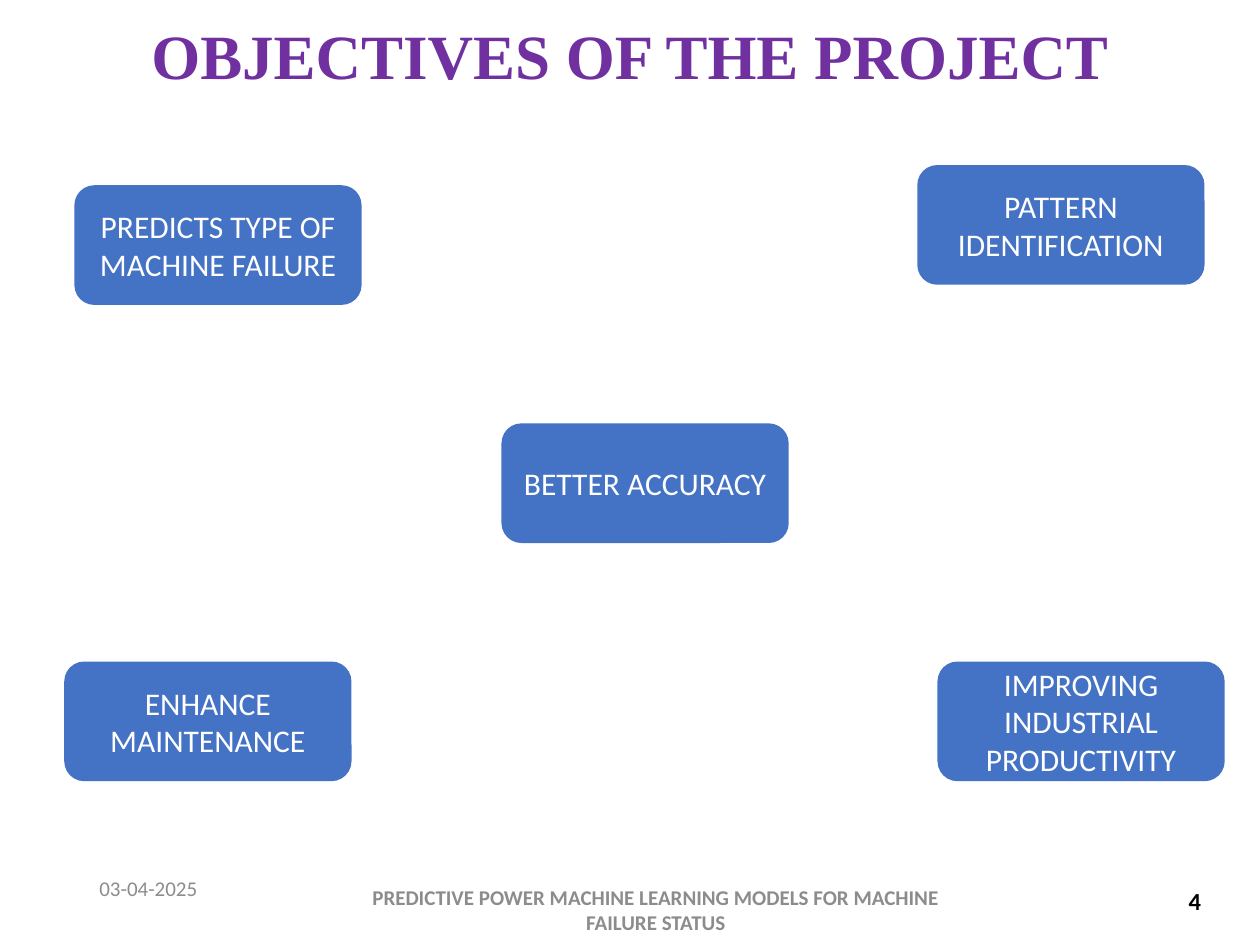
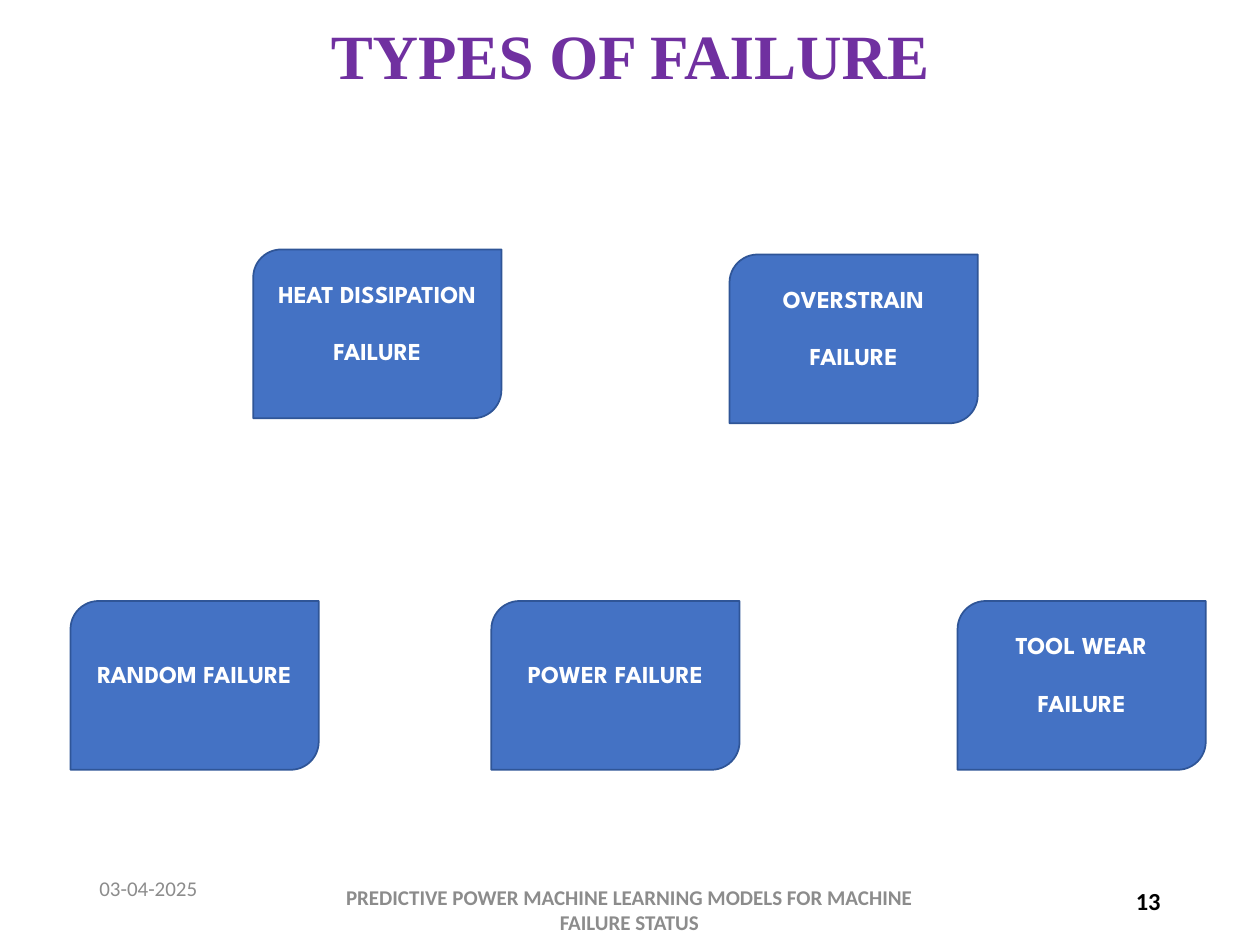
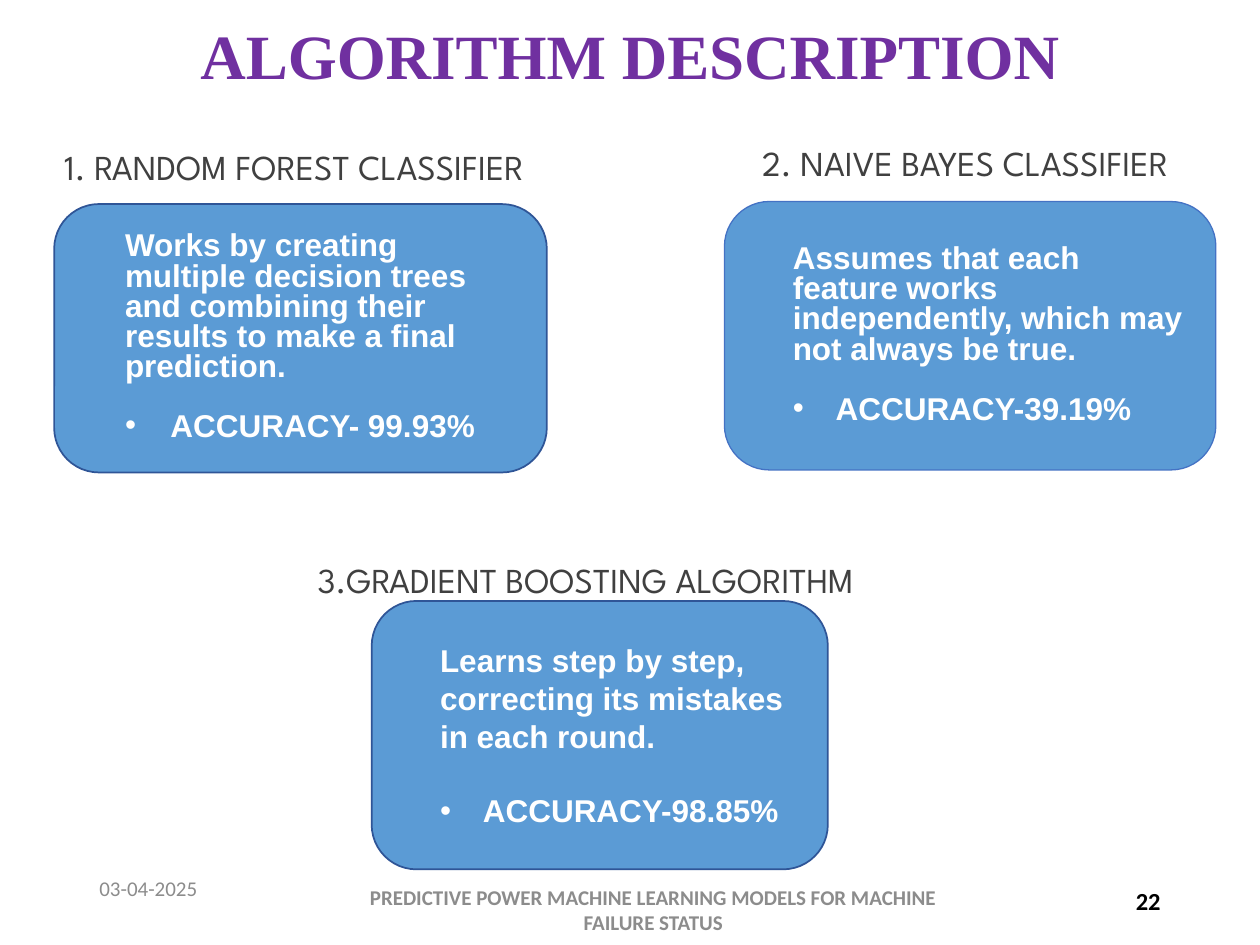
from dataclasses import dataclass

from lxml.etree import SubElement
from pptx import Presentation
from pptx.dml.color import RGBColor
from pptx.enum.shapes import MSO_SHAPE
from pptx.enum.text import MSO_ANCHOR, PP_ALIGN
from pptx.oxml.ns import qn
from pptx.util import Inches, Pt

COLS, ROWS = 100, 75
LEFT, CENTER, RIGHT = PP_ALIGN.LEFT, PP_ALIGN.CENTER, PP_ALIGN.RIGHT


@dataclass(frozen=True)
class Theme:
    blue: str = "4472C4"
    sky: str = "5B9BD5"
    navy: str = "2F5597"

    # Text styles: typeface, size, colour, bold
    title: tuple = ("Times New Roman", 36, "7030A0", True)
    date: tuple = ("Calibri", 12, "8C8C8C", False)
    footer: tuple = ("Calibri", 12, "8C8C8C", True)
    number: tuple = ("Calibri", 14, "000000", True)
    objective: tuple = ("Calibri", 18, "FFFFFF", False)
    failure: tuple = ("League Spartan", 24, "FFFFFF", True)
    heading: tuple = ("League Spartan", 20, "404040", False)
    body: tuple = ("Arial", 18, "FFFFFF", True)


T = Theme()
prs = Presentation()
prs.slide_width, prs.slide_height = Inches(10), Inches(7.5)


def grid(box):
    """Turn (column, row, columns, rows) into slide lengths."""
    units = (prs.slide_width / COLS, prs.slide_height / ROWS) * 2
    return [round(n * unit) for n, unit in zip(box, units)]


def apply(obj, **formats):
    for name, value in formats.items():
        setattr(obj, name, value)


def add_run(p, text, style, subscript=False):
    name, size, color, bold = style
    r = p.add_run()
    r.text = text
    apply(r.font, name=name, size=Pt(size), bold=bold)
    r.font.color.rgb = RGBColor.from_string(color)
    if subscript:
        r.font._element.set("baseline", "-25000")


def set_frame(sp, anchor=MSO_ANCHOR.MIDDLE, **margins):
    tf = sp.text_frame
    apply(tf, word_wrap=True, vertical_anchor=anchor, **margins)
    return tf


def add_text(s, box, text, style, align=CENTER, spacing=None,
             anchor=MSO_ANCHOR.MIDDLE, **margins):
    tf = set_frame(s.shapes.add_textbox(*grid(box)), anchor, **margins)
    p = tf.paragraphs[0]
    apply(p, alignment=align, line_spacing=spacing)
    add_run(p, text, style)


def add_panel(s, kind, box, fill, line=None, width=1):
    sp = s.shapes.add_shape(kind, *grid(box))
    sp.shadow.inherit = False
    sp.fill.solid()
    sp.fill.fore_color.rgb = RGBColor.from_string(fill)
    if line:
        sp.line.color.rgb = RGBColor.from_string(line)
        sp.line.width = Pt(width)
    else:
        sp.line.fill.background()
    return sp


def indent(p, left, hanging=0, bullet=None):
    pPr = p._p.get_or_add_pPr()
    pPr.set("marL", str(Inches(left)))
    pPr.set("indent", str(-Inches(hanging)))
    if bullet:
        SubElement(pPr, qn("a:buFont")).set("typeface", "Arial")
        SubElement(pPr, qn("a:buChar")).set("char", bullet)


# Title and footer band shared by all slides
def new_slide(title, number, footer_col, footer_cols, number_cols=22.5):
    s = prs.slides.add_slide(prs.slide_layouts[6])
    add_text(s, (6.9, 1.8, 86.2, 5.8), title, T.title, spacing=0.9)
    add_text(s, (6.9, 69.5, 22.5, 4), "03-04-2025", T.date, LEFT,
             margin_bottom=Inches(0.25))
    add_text(s, (70.6, 69.5, number_cols, 4), number, T.number, RIGHT)
    add_text(s, (footer_col, 70.2, footer_cols, 4),
             "PREDICTIVE POWER MACHINE LEARNING MODELS FOR MACHINE FAILURE STATUS",
             T.footer)
    return s


def objective(s, col, row, text):
    sp = add_panel(s, MSO_SHAPE.ROUNDED_RECTANGLE, (col, row, 22.8, 9.5), T.blue)
    p = set_frame(sp).paragraphs[0]
    p.alignment = CENTER
    add_run(p, text, T.objective)


def failure(s, col, row, text):
    sp = add_panel(s, MSO_SHAPE.ROUND_2_DIAG_RECTANGLE, (col, row, 19.7, 13.4),
                   T.blue, T.navy)
    # The deeper lower margin lifts the label above the middle
    p = set_frame(sp, margin_top=0, margin_bottom=Inches(0.41)).paragraphs[0]
    p.alignment = CENTER
    add_run(p, text, T.failure, subscript=True)


def algorithm(s, box, text, accuracy, step, spacing, gap, line, width):
    sp = add_panel(s, MSO_SHAPE.ROUNDED_RECTANGLE, box, T.sky, line, width)
    tf = set_frame(sp)
    p = tf.paragraphs[0]
    indent(p, step)
    apply(p, alignment=LEFT, line_spacing=spacing)
    add_run(p, text, T.body)
    # Accuracy bullet
    p = tf.add_paragraph()
    apply(p, alignment=LEFT, line_spacing=spacing, space_before=Pt(gap))
    indent(p, 2 * step, step, "•")
    add_run(p, accuracy, T.body)


def objectives_slide():
    s = new_slide("OBJECTIVES OF THE PROJECT", "4", 26.2, 51.7, 25.7)
    for card in (
        (5.9, 14.7, "PREDICTS TYPE OF MACHINE FAILURE"),
        (39.8, 33.6, "BETTER ACCURACY"),
        (5.1, 52.5, "ENHANCE MAINTENANCE"),
        (74.4, 52.5, "IMPROVING INDUSTRIAL PRODUCTIVITY"),
        (72.8, 13.1, "PATTERN IDENTIFICATION"),
    ):
        objective(s, *card)


def failures_slide():
    s = new_slide("TYPES OF FAILURE", "13", 25.2, 49.5)
    for card in (
        (20.1, 19.8, "HEAT DISSIPATION FAILURE"),
        (5.6, 47.7, "RANDOM FAILURE"),
        (76, 47.7, "TOOL WEAR FAILURE"),
        (39, 47.7, "POWER FAILURE"),
        (57.9, 20.2, "OVERSTRAIN FAILURE"),
    ):
        failure(s, *card)


def algorithms_slide():
    s = new_slide("ALGORITHM DESCRIPTION", "22", 27.2, 49.3)
    for card in (
        ((4.3, 16.2, 39.1, 21.3),
         "Works by creating multiple decision trees and combining their "
         "results to make a final prediction.",
         "ACCURACY- 99.93%", 0.36, 0.8, 17, T.navy, 1),
        ((29.5, 47.7, 36.2, 21.3),
         "Learns step by step, correcting its mistakes in each round.",
         "ACCURACY-98.85%", 0.34, 1, 21, T.navy, 1),
        ((57.5, 16, 39, 21.3),
         "Assumes that each feature works independently, which may not "
         "always be true.",
         "ACCURACY-39.19%", 0.34, 0.8, 17, T.blue, 0.75),
    ):
        algorithm(s, *card)
    # Headings above the cards
    for box, text, spacing in (
        ((0, 8.3, 46.7, 7.2), "1. RANDOM FOREST CLASSIFIER", Pt(44)),
        ((53.2, 8, 46.8, 7.2), "2. NAIVE BAYES CLASSIFIER", Pt(44)),
        ((17, 43.8, 59, 4.4), "3.GRADIENT BOOSTING ALGORITHM", None),
    ):
        add_text(s, box, text, T.heading, spacing=spacing, anchor=MSO_ANCHOR.TOP)


def main():
    objectives_slide()
    failures_slide()
    algorithms_slide()
    prs.save("out.pptx")


if __name__ == "__main__":
    main()
